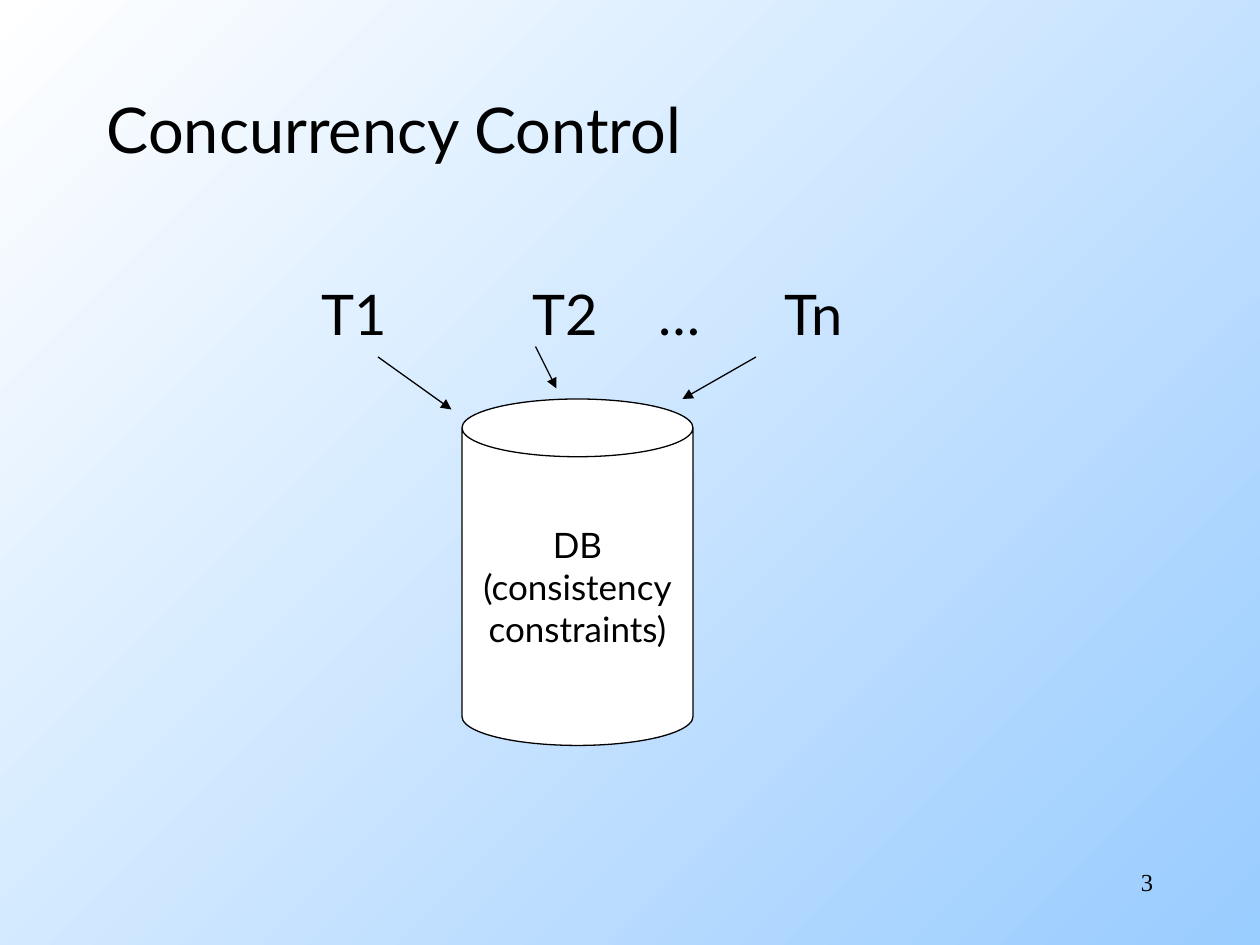
from lxml import etree
from pptx import Presentation
from pptx.dml.color import RGBColor
from pptx.enum.shapes import MSO_CONNECTOR as CONN, MSO_SHAPE as SHAPE
from pptx.enum.text import MSO_ANCHOR as ANCHOR, PP_ALIGN as ALIGN
from pptx.oxml.ns import qn
from pptx.util import Inches, Pt

BLACK = RGBColor(0x00, 0x00, 0x00)
WHITE = RGBColor(0xFF, 0xFF, 0xFF)
SKY = RGBColor(0x99, 0xCC, 0xFF)

COLS, ROWS = 120, 90  # grid of twelve cells to the inch
CELL = Inches(1) // 12


def cells(*counts):
    return [n * CELL for n in counts]


def write(sp, text, size, font="Lato", align=ALIGN.LEFT, anchor=ANCHOR.TOP,
          wrap=True, before=0, tabs=()):
    """Fill a shape with one paragraph per line; tabs are stops in inches."""
    tf = sp.text_frame
    tf.word_wrap, tf.vertical_anchor = wrap, anchor
    for i, line in enumerate(text.split("\n")):
        p = tf.add_paragraph() if i else tf.paragraphs[0]
        p.alignment, p.space_before = align, Pt(before)
        if tabs:
            stops = etree.SubElement(p._p.get_or_add_pPr(), qn("a:tabLst"))
            for pos in tabs:
                etree.SubElement(stops, qn("a:tab"), pos=str(Inches(pos)), algn="l")
        r = p.add_run()
        r.text = line
        r.font.size, r.font.name = Pt(size), font
        r.font.color.rgb = BLACK


def add_text(s, box, text, size, **fmt):
    write(s.shapes.add_textbox(*cells(*box)), text, size, **fmt)


def add_arrow(s, *ends):
    line = s.shapes.add_connector(CONN.STRAIGHT, *cells(*ends))
    line.line.color.rgb, line.line.width = BLACK, Pt(0.75)
    etree.SubElement(line.line._get_or_add_ln(), qn("a:tailEnd"), type="triangle")
    etree.SubElement(line._element.spPr, qn("a:effectLst"))


def add_background(s):
    fill = s.background.fill
    fill.gradient()
    fill.gradient_angle = 315
    for stop, color in zip(fill.gradient_stops, (WHITE, SKY)):
        stop.color.rgb = color


def add_diagram(s, box):
    """Transactions above, the database below, an arrow from each one."""
    x, y, w, h = box

    # Row of transactions
    add_text(s, box, "\tT1\tT2\t…\tTn", 32, before=8, tabs=(1.7, 3.38, 4.38, 5.38))

    # Database
    db = s.shapes.add_shape(SHAPE.CAN, *cells(x + 35, y + 12, 22, 33))
    db.adjustments[0] = 0.25
    db.shadow.inherit = False
    db.fill.solid()
    db.fill.fore_color.rgb = WHITE
    db.line.color.rgb, db.line.width = BLACK, Pt(0.75)
    write(db, "DB\n(consistency\nconstraints)", 20, align=ALIGN.CENTER,
          anchor=ANCHOR.MIDDLE, wrap=False)

    # Arrows into the database
    for x1, y1, x2, y2 in ((27, 8, 34, 13), (42, 7, 44, 11), (63, 8, 56, 12)):
        add_arrow(s, x + x1, y + y1, x + x2, y + y2)


def main():
    prs = Presentation()
    prs.slide_width, prs.slide_height = cells(COLS, ROWS)
    s = prs.slides.add_slide(prs.slide_layouts[6])
    add_background(s)
    add_text(s, (86, 82, 25, 6), "3", 14, font="Times New Roman", align=ALIGN.RIGHT)
    add_text(s, (9, 8, 102, 15), "Concurrency Control", 36)
    add_diagram(s, (9, 26, 102, 54))
    prs.save("out.pptx")


if __name__ == "__main__":
    main()
